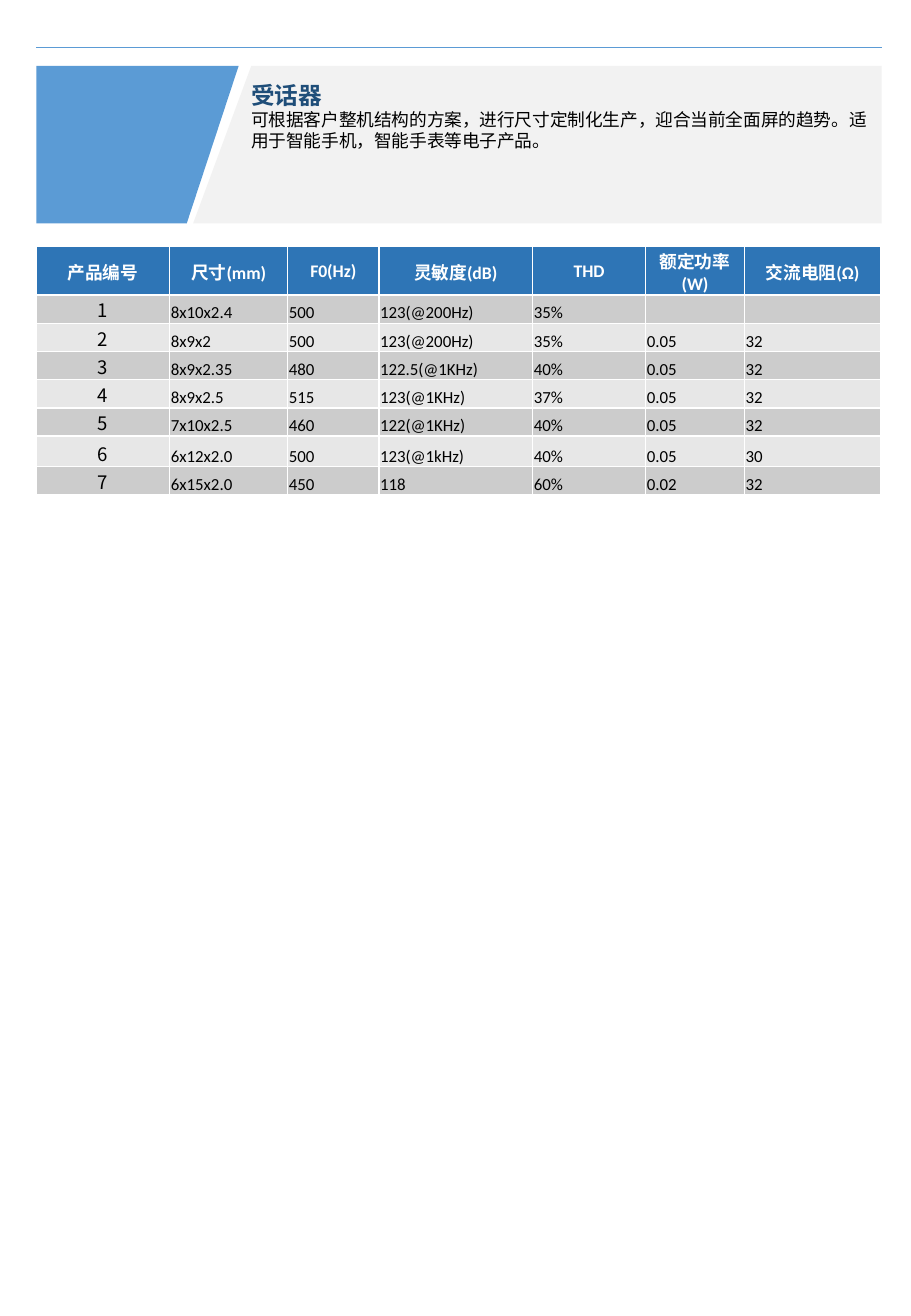
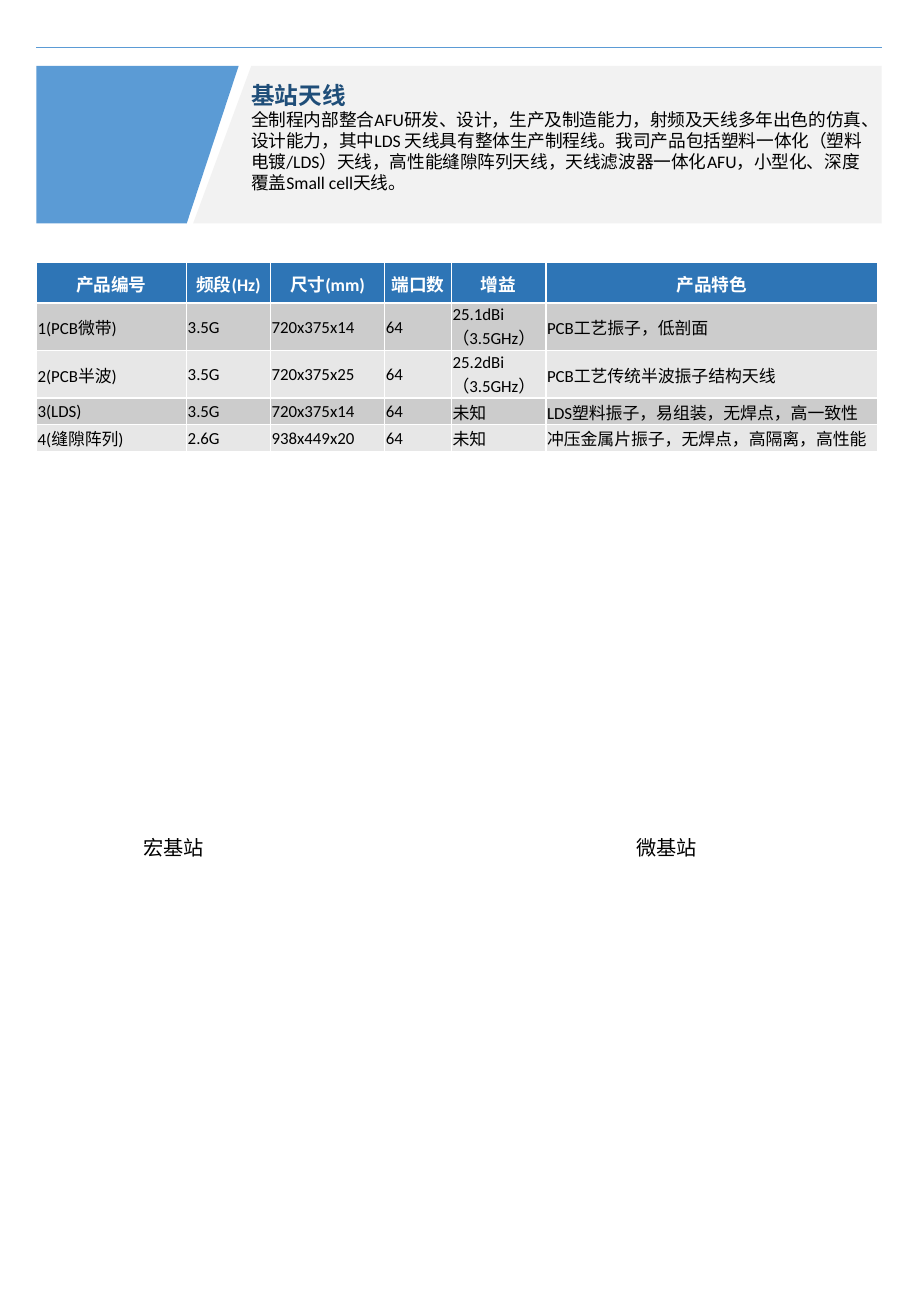
from lxml.etree import SubElement
from pptx import Presentation
from pptx.dml.color import RGBColor
from pptx.enum.shapes import MSO_CONNECTOR
from pptx.enum.text import MSO_ANCHOR, PP_ALIGN
from pptx.oxml.ns import qn
from pptx.util import Pt

ACCENT = RGBColor(0x5B, 0x9B, 0xD5)
HEADER = RGBColor(0x2E, 0x75, 0xB6)
TITLE = RGBColor(0x1F, 0x4E, 0x79)
PANEL = RGBColor(0xF2, 0xF2, 0xF2)
DARK_ROW = RGBColor(0xCC, 0xCC, 0xCC)
LIGHT_ROW = RGBColor(0xE7, 0xE7, 0xE7)
WHITE = RGBColor(0xFF, 0xFF, 0xFF)
BLACK = RGBColor(0, 0, 0)
LATIN = "Calibri"
CJK = "Noto Sans CJK SC"
LEFT, RIGHT = 21.6, 522.7
BAND_TOP, BAND_BOTTOM = 39, 132.5

BANDS = [
    (PANEL, [(149, BAND_TOP), (RIGHT, BAND_TOP), (RIGHT, BAND_BOTTOM), (114.5, BAND_BOTTOM)]),
    (ACCENT, [(LEFT, BAND_TOP), (141.5, BAND_TOP), (110.7, BAND_BOTTOM), (LEFT, BAND_BOTTOM)]),
]

PAGES = [
    {
        "title": "受话器",
        "text": "可根据客户整机结构的方案，进行尺寸定制化生产，迎合当前全面屏的趋势。适用于智能手机，智能手表等电子产品。",
        "text_height": 49.7,
        "top": 146.2,
        "columns": [79, 70, 54, 91.2, 67, 58.5, 81],
        "rows": [27.5, 16.8, 16.8, 16.6, 16.6, 16.8, 18, 16],
        "anchor": MSO_ANCHOR.BOTTOM,
        "numbered": True,
        "cells": [
            ["产品编号", "尺寸(mm)", "F0(Hz)", "灵敏度(dB)", "THD", "额定功率(W)", "交流电阻(Ω)"],
            ["1", "8x10x2.4", "500", "123(@200Hz)", "35%", "", ""],
            ["2", "8x9x2", "500", "123(@200Hz)", "35%", "0.05", "32"],
            ["3", "8x9x2.35", "480", "122.5(@1KHz)", "40%", "0.05", "32"],
            ["4", "8x9x2.5", "515", "123(@1KHz)", "37%", "0.05", "32"],
            ["5", "7x10x2.5", "460", "122(@1KHz)", "40%", "0.05", "32"],
            ["6", "6x12x2.0", "500", "123(@1kHz)", "40%", "0.05", "30"],
            ["7", "6x15x2.0", "450", "118", "60%", "0.02", "32"],
        ],
        "captions": [],
    },
    {
        "title": "基站天线",
        "text": "全制程内部整合AFU研发、设计，生产及制造能力，射频及天线多年出色的仿真、设计能力，其中LDS 天线具有整体生产制程线。我司产品包括塑料一体化（塑料电镀/LDS）天线，高性能缝隙阵列天线，天线滤波器一体化AFU，小型化、深度覆盖Small cell天线。",
        "text_height": 74.9,
        "top": 155.6,
        "columns": [89, 49.7, 67.7, 39.6, 56, 197],
        "rows": [24, 28.2, 28.2, 15.8, 15.8],
        "anchor": MSO_ANCHOR.MIDDLE,
        "numbered": False,
        "cells": [
            ["产品编号", "频段(Hz)", "尺寸(mm)", "端口数", "增益", "产品特色"],
            ["1(PCB微带)", "3.5G", "720x375x14", "64", "25.1dBi\n（3.5GHz）", "PCB工艺振子，低剖面"],
            ["2(PCB半波)", "3.5G", "720x375x25", "64", "25.2dBi\n（3.5GHz）", "PCB工艺传统半波振子结构天线"],
            ["3(LDS)", "3.5G", "720x375x14", "64", "未知", "LDS塑料振子，易组装，无焊点，高一致性"],
            ["4(缝隙阵列)", "2.6G", "938x449x20", "64", "未知", "冲压金属片振子，无焊点，高隔离，高性能"],
        ],
        "captions": [("宏基站", 77.8), ("微基站", 370)],
    },
]


def add_span(para, text, size, color, bold=False, latin=LATIN, asian=CJK):
    span = para.add_run()
    span.text = text
    span.font.size = Pt(size)
    span.font.bold = bold
    span.font.color.rgb = color
    span.font.name = latin
    SubElement(span.font._element, qn("a:ea"), typeface=asian)


def add_text(page, left, top, width, height, lines):
    box = page.shapes.add_textbox(Pt(left), Pt(top), Pt(width), Pt(height))
    frame = box.text_frame
    frame.word_wrap = True
    for index, (text, size, color, bold, spacing) in enumerate(lines):
        para = frame.paragraphs[0] if index == 0 else frame.add_paragraph()
        if spacing:
            para.line_spacing = Pt(spacing)
        add_span(para, text, size, color, bold, asian=LATIN)


deck = Presentation()
deck.slide_width, deck.slide_height = Pt(540), Pt(780)

for content in PAGES:
    page = deck.slides.add_slide(deck.slide_layouts[6])

    rows, columns = content["rows"], content["columns"]
    frame = page.shapes.add_table(len(rows), len(columns), Pt(LEFT), Pt(content["top"]),
                                  Pt(sum(columns)), Pt(sum(rows)))
    table = frame.table
    for column, width in zip(table.columns, columns):
        column.width = Pt(width)
    for r, height in enumerate(rows):
        table.rows[r].height = Pt(height)
        for c, text in enumerate(content["cells"][r]):
            cell = table.cell(r, c)
            numbered = content["numbered"] and c == 0 and r > 0
            cell.margin_left = cell.margin_right = cell.margin_top = Pt(0.72)
            cell.margin_bottom = Pt(0)
            cell.vertical_anchor = content["anchor"] if r else MSO_ANCHOR.MIDDLE
            for side in ("a:lnL", "a:lnR", "a:lnT", "a:lnB"):
                border = SubElement(cell._tc.get_or_add_tcPr(), qn(side), w=str(Pt(1)))
                paint = SubElement(border, qn("a:solidFill"))
                SubElement(paint, qn("a:srgbClr"), val=str(WHITE))
            cell.fill.solid()
            cell.fill.fore_color.rgb = HEADER if r == 0 else DARK_ROW if r % 2 else LIGHT_ROW
            for index, line in enumerate(text.split("\n")):
                para = cell.text_frame.paragraphs[0] if index == 0 else cell.text_frame.add_paragraph()
                para.alignment = PP_ALIGN.CENTER if r == 0 or numbered else PP_ALIGN.LEFT
                if not line:
                    SubElement(para._p, qn("a:endParaRPr"), sz="1000")
                elif r == 0:
                    add_span(para, line, 10.5, WHITE, True)
                elif numbered:
                    add_span(para, line, 11, BLACK, latin=CJK)
                else:
                    add_span(para, line, 10, BLACK)

    rule = page.shapes.add_connector(MSO_CONNECTOR.STRAIGHT, Pt(LEFT), Pt(28), Pt(RIGHT), Pt(28))
    rule.line.color.rgb = ACCENT
    rule.line.width = Pt(0.5)
    SubElement(rule._element.spPr, qn("a:effectLst"))

    for color, corners in BANDS:
        points = [(Pt(x), Pt(y)) for x, y in corners]
        outline = page.shapes.build_freeform(*points[0])
        outline.add_line_segments(points[1:], close=True)
        band = outline.convert_to_shape()
        band.shadow.inherit = False
        band.fill.solid()
        band.fill.fore_color.rgb = color
        band.line.fill.background()

    add_text(page, 141.8, 44.6, 380.9, content["text_height"], [
        (content["title"], 14, TITLE, True, 16.6),
        (content["text"], 10.5, BLACK, False, 12.45),
    ])
    for caption, left in content["captions"]:
        add_text(page, left, 491.8, 59, 21.6, [(caption, 12, BLACK, False, None)])

deck.save("out.pptx")
